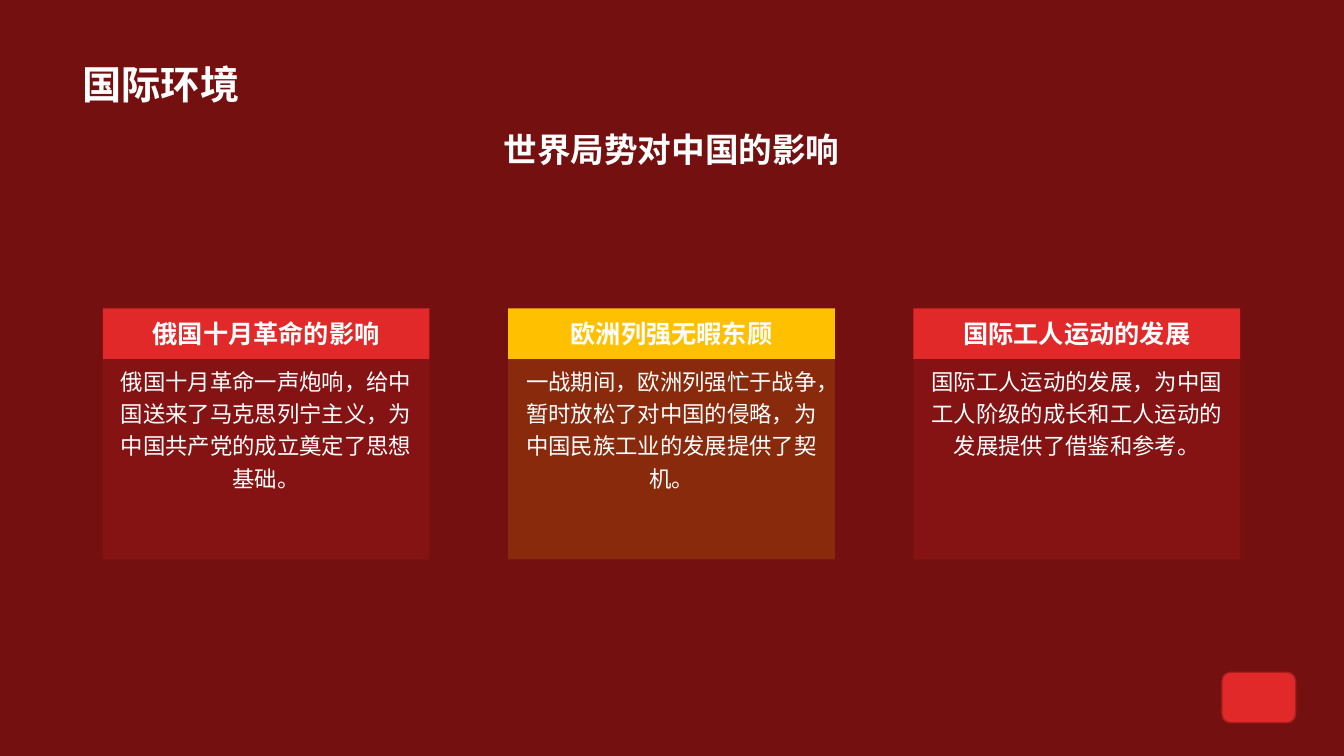
from dataclasses import dataclass

from lxml import etree
from pptx import Presentation
from pptx.dml.color import RGBColor
from pptx.enum.shapes import MSO_SHAPE
from pptx.enum.text import MSO_ANCHOR, MSO_AUTO_SIZE, PP_ALIGN
from pptx.oxml.ns import qn
from pptx.shapes.autoshape import Shape
from pptx.slide import Slide
from pptx.util import Inches, Pt

RECTANGLE, ROUNDED = MSO_SHAPE.RECTANGLE, MSO_SHAPE.ROUNDED_RECTANGLE
TOP, MIDDLE, BOTTOM = MSO_ANCHOR.TOP, MSO_ANCHOR.MIDDLE, MSO_ANCHOR.BOTTOM
LEFT, CENTER = PP_ALIGN.LEFT, PP_ALIGN.CENTER
NO_AUTOFIT = MSO_AUTO_SIZE.NONE

MAROON = RGBColor(0x75, 0x10, 0x10)
RED = RGBColor(0xE1, 0x29, 0x29)
DARK_RED = RGBColor(0xA6, 0x1E, 0x1E)
GOLD = RGBColor(0xFF, 0xC0, 0x00)
WHITE = RGBColor(0xFF, 0xFF, 0xFF)

FONT = "Arial"
CARD_LEFT, CARD_STEP, CARD_WIDTH = 1.02, 4.02, 3.24
HEADING_TOP, HEADING_HEIGHT = 3.06, 0.5
DETAIL_TOP, DETAIL_HEIGHT = 3.55, 2
DETAIL_OPACITY = 15


@dataclass(frozen=True)
class Influence:
    heading: str
    detail: str
    color: RGBColor


INFLUENCES = [
    Influence("俄国十月革命的影响",
              "俄国十月革命一声炮响，给中国送来了马克思列宁主义，为中国共产党的成立奠定了思想基础。", RED),
    Influence("欧洲列强无暇东顾",
              "一战期间，欧洲列强忙于战争，暂时放松了对中国的侵略，为中国民族工业的发展提供了契机。", GOLD),
    Influence("国际工人运动的发展",
              "国际工人运动的发展，为中国工人阶级的成长和工人运动的发展提供了借鉴和参考。", RED),
]


def write(shape: Shape, text: str, size: float, bold: bool = True,
          align: PP_ALIGN = CENTER, anchor: MSO_ANCHOR = MIDDLE,
          spacing: float = 1.0) -> None:
    frame = shape.text_frame
    frame.word_wrap = True
    frame.auto_size = NO_AUTOFIT
    frame.vertical_anchor = anchor
    frame.text = text
    paragraph = frame.paragraphs[0]
    paragraph.alignment = align
    paragraph.line_spacing = spacing
    font = paragraph.font
    font.name, font.size, font.bold = FONT, Pt(size), bold
    font.color.rgb = WHITE


def add_block(slide: Slide, kind: MSO_SHAPE, left: float, top: float,
              width: float, height: float, color: RGBColor) -> Shape:
    block = slide.shapes.add_shape(
        kind, Inches(left), Inches(top), Inches(width), Inches(height))
    block.shadow.inherit = False
    block.fill.solid()
    block.fill.fore_color.rgb = color
    block.line.fill.background()
    return block


def set_opacity(shape: Shape, percent: int) -> None:
    color = shape.fill._xPr.find(qn("a:solidFill"))[0]
    etree.SubElement(color, qn("a:alpha")).set("val", str(percent * 1000))


def add_card(slide: Slide, left: float, influence: Influence) -> None:
    detail = add_block(slide, RECTANGLE, left, DETAIL_TOP, CARD_WIDTH,
                       DETAIL_HEIGHT, influence.color)
    set_opacity(detail, DETAIL_OPACITY)
    write(detail, influence.detail, 16, bold=False, anchor=TOP, spacing=1.2)
    heading = add_block(slide, RECTANGLE, left, HEADING_TOP, CARD_WIDTH,
                        HEADING_HEIGHT, influence.color)
    write(heading, influence.heading, 18)


def main() -> None:
    deck = Presentation()
    deck.slide_width, deck.slide_height = Inches(13.33), Inches(7.5)
    slide = deck.slides.add_slide(deck.slide_layouts.get_by_name("Title Only"))
    slide.background.fill.solid()
    slide.background.fill.fore_color.rgb = MAROON

    # Title
    title = slide.shapes.title
    title.left, title.top = Inches(0.72), Inches(0.14)
    title.width, title.height = Inches(11.88), Inches(0.98)
    write(title, "国际环境", 28, align=LEFT, anchor=BOTTOM)

    # Cards
    for index, influence in enumerate(INFLUENCES):
        add_card(slide, CARD_LEFT + index * CARD_STEP, influence)

    # Subtitle
    subtitle = slide.shapes.add_textbox(
        Inches(0.72), Inches(1.23), Inches(11.88), Inches(0.71))
    write(subtitle, "世界局势对中国的影响", 24, anchor=TOP)

    # Corner button
    button = add_block(slide, ROUNDED, 12.12, 6.67, 0.73, 0.5, RED)
    button.line.color.rgb = DARK_RED
    button.line.width = Pt(1)

    deck.save("out.pptx")


if __name__ == "__main__":
    main()
